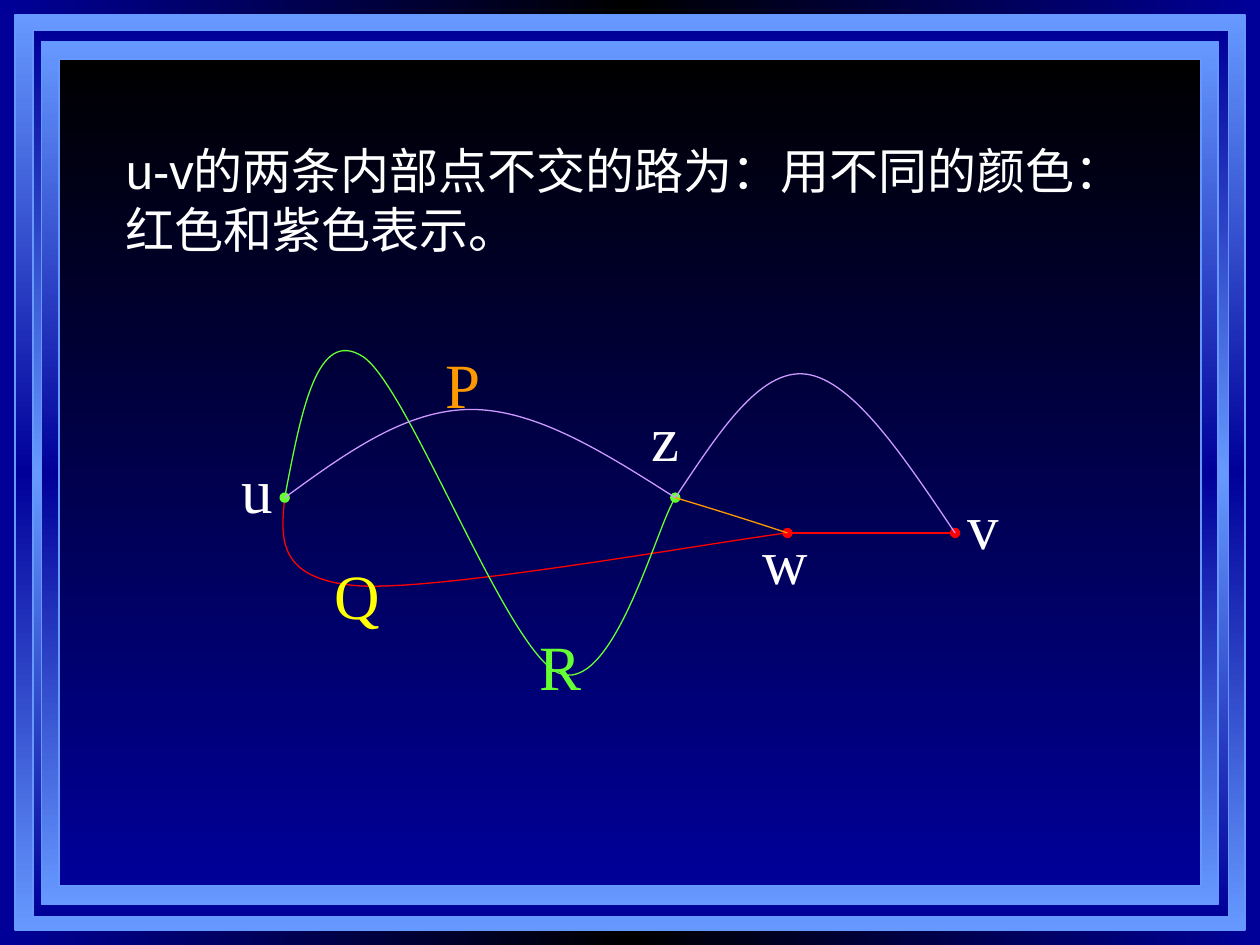
from copy import deepcopy

from lxml import etree
from pptx import Presentation
from pptx.dml.color import RGBColor
from pptx.enum.shapes import MSO_CONNECTOR, MSO_SHAPE
from pptx.enum.text import MSO_AUTO_SIZE, PP_ALIGN
from pptx.oxml.ns import qn
from pptx.util import Inches, Pt

RECTANGLE = MSO_SHAPE.RECTANGLE
STRAIGHT = MSO_CONNECTOR.STRAIGHT
JUSTIFY = PP_ALIGN.JUSTIFY
LEFT = PP_ALIGN.LEFT
FIT_SHAPE = MSO_AUTO_SIZE.SHAPE_TO_FIT_TEXT
BLANK_LAYOUT = 6

THEME = {
    "navy": "000099", "sky": "6699FF", "black": "000000", "white": "FFFFFF",
    "red": "FF0000", "green": "66FF33", "purple": "CC99FF",
    "orange": "FF9900", "yellow": "FFFF00",
    "body_font": "Arial", "label_font": "Times New Roman",
    "body_size": 28, "label_size": 36, "frame_line": 1, "path_line": 0.75,
}

STATEMENT = "u-v的两条内部点不交的路为：用不同的颜色：红色和紫色表示。"
STATEMENT_BOX = (0.9, 1.07, 8.35, 1.04)
LABEL_SIZE = (0.59, 0.98)

FRAMES = [
    ((0.12, 0.12, 9.76, 7.26), ("sky", "navy", "sky")),
    ((0.26, 0.24, 9.49, 7.04), ("navy", "sky", "navy")),
    ((0.33, 0.33, 9.34, 6.85), ("sky", "navy", "sky")),
    ((0.47, 0.47, 9.06, 6.56), ("black", "navy")),
]

U, Z, W, V = (2.26, 3.95), (5.36, 3.95), (6.25, 4.23), (7.58, 4.23)

RED_CURVE = [U, (2.23, 4.27), (2.19, 4.6), (2.85, 4.65),
             (3.52, 4.69), (5.68, 4.3), W]
GREEN_CURVE = [U, (2.39, 3.27), (2.52, 2.6), (2.88, 2.83),
               (3.24, 3.06), (4.02, 5.16), (4.43, 5.34),
               (4.85, 5.53), (5.21, 4.18), Z]
PURPLE_CURVES = [
    [Z, (5.7, 3.44), (6.03, 2.92), (6.4, 2.97), (6.77, 3.02), (7.17, 3.62), V],
    [U, (2.74, 3.6), (3.22, 3.25), (3.74, 3.25), (4.26, 3.25), (4.81, 3.6), Z],
]
ORANGE_CURVE = [Z, (5.73, 4.06), (6.1, 4.18), W]

LABELS = [
    ("u", 1.82, 3.53, "white"), ("w", 5.95, 4.09, "white"),
    ("v", 7.58, 3.81, "white"), ("z", 5.07, 3.11, "white"),
    ("Q", 2.56, 4.37, "yellow"), ("P", 3.44, 2.69, "orange"),
    ("R", 4.18, 4.93, "green"),
]


def color(name):
    return RGBColor.from_string(THEME[name])


def set_gradient(fill, element, names, angle):
    fill.gradient()
    fill.gradient_angle = angle
    stop_list = element.find(".//" + qn("a:gsLst"))
    for _ in names[2:]:
        stop_list.append(deepcopy(stop_list[0]))
    for index, (stop, name) in enumerate(zip(fill.gradient_stops, names)):
        stop.color.rgb = color(name)
        stop.position = index / (len(names) - 1)


def set_line(shape, name, width, dots=False):
    shape.line.color.rgb = color(name)
    shape.line.width = Pt(width)
    if dots:
        line = shape._element.spPr.find(qn("a:ln"))
        for end in ("a:headEnd", "a:tailEnd"):
            etree.SubElement(line, qn(end), type="oval")


def add_frame(slide, box, names):
    shape = slide.shapes.add_shape(RECTANGLE, *map(Inches, box))
    shape.shadow.inherit = False
    set_gradient(shape.fill, shape._element, names, 270)
    set_line(shape, "sky", THEME["frame_line"])


def add_curve(slide, points, name, dots=False):
    start, *controls = [tuple(map(Inches, point)) for point in points]
    builder = slide.shapes.build_freeform(*start)
    builder.add_line_segments(controls, close=False)
    shape = builder.convert_to_shape()
    outline = shape._element.find(".//" + qn("a:path"))
    segments = outline.findall(qn("a:lnTo"))
    for first in range(0, len(segments), 3):
        bezier = etree.SubElement(outline, qn("a:cubicBezTo"))
        for segment in segments[first:first + 3]:
            bezier.append(segment[0])
            outline.remove(segment)
    shape.shadow.inherit = False
    shape.fill.background()
    set_line(shape, name, THEME["path_line"], dots)


def add_edge(slide, start, end, name):
    edge = slide.shapes.add_connector(STRAIGHT, *map(Inches, start + end))
    set_line(edge, name, THEME["path_line"], dots=True)
    etree.SubElement(edge._element.spPr, qn("a:effectLst"))


def add_text(slide, text, box, font, size, name="white", align=LEFT,
             space_before=0, auto_size=None):
    text_box = slide.shapes.add_textbox(*map(Inches, box))
    frame = text_box.text_frame
    frame.word_wrap = True
    if auto_size is not None:
        frame.auto_size = auto_size
    paragraph = frame.paragraphs[0]
    paragraph.alignment = align
    paragraph.space_before = Pt(space_before)
    run = paragraph.add_run()
    run.text = text
    run.font.name = THEME[font]
    run.font.size = Pt(THEME[size])
    run.font.color.rgb = color(name)


def main():
    presentation = Presentation()
    presentation.slide_width = Inches(10)
    presentation.slide_height = Inches(7.5)
    slide = presentation.slides.add_slide(presentation.slide_layouts[BLANK_LAYOUT])
    set_gradient(slide.background.fill, slide.element, ("navy", "black", "navy"), 0)

    for box, names in FRAMES:
        add_frame(slide, box, names)
    add_curve(slide, RED_CURVE, "red")
    add_edge(slide, W, V, "red")
    add_curve(slide, GREEN_CURVE, "green", dots=True)
    for points in PURPLE_CURVES:
        add_curve(slide, points, "purple")
    add_curve(slide, ORANGE_CURVE, "orange")
    for text, left, top, name in LABELS:
        add_text(slide, text, (left, top, *LABEL_SIZE), "label_font", "label_size",
                 name=name, align=JUSTIFY)
    add_text(slide, STATEMENT, STATEMENT_BOX, "body_font", "body_size",
             space_before=17.5, auto_size=FIT_SHAPE)
    presentation.save("out.pptx")


if __name__ == "__main__":
    main()
